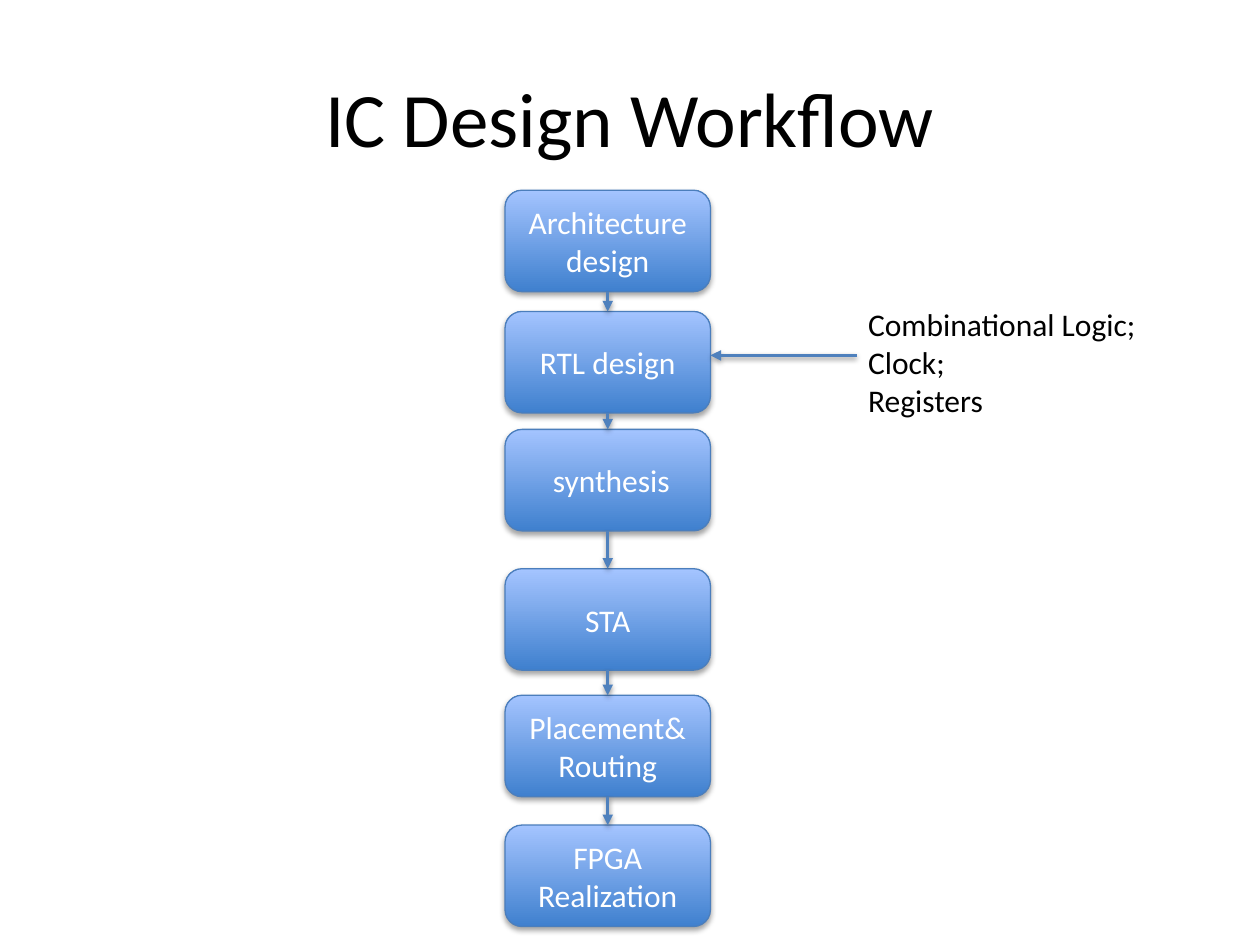
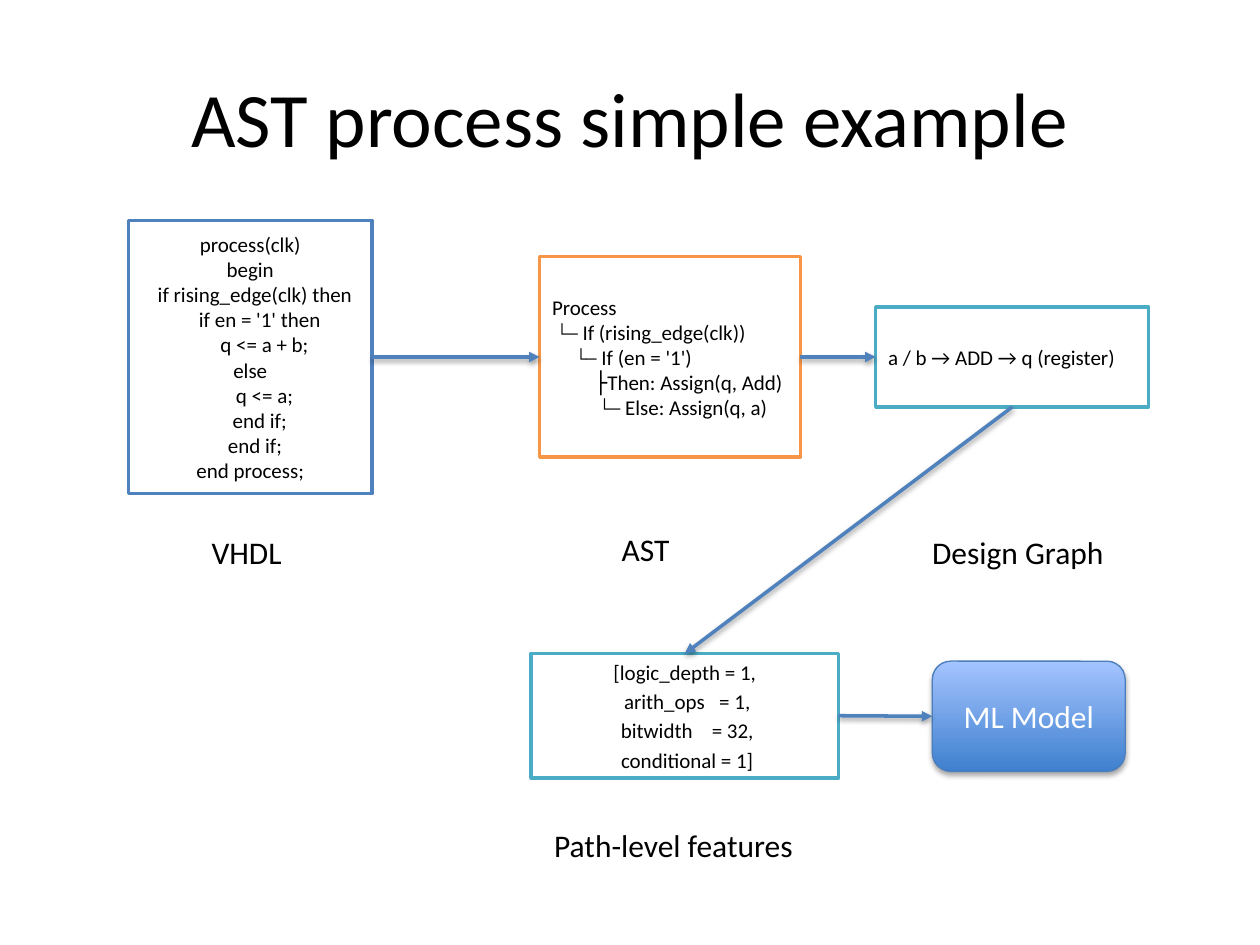
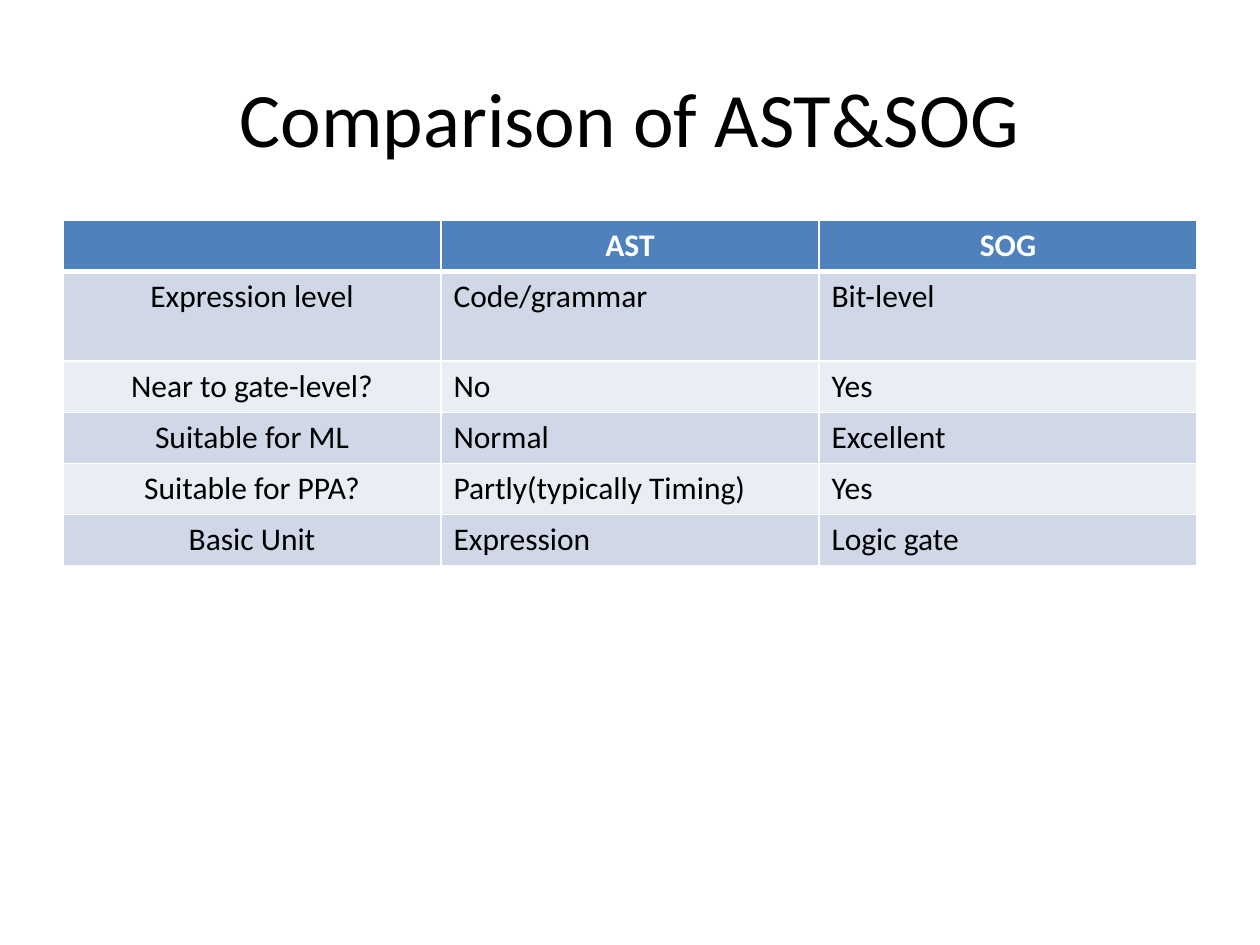
import dataclasses

import pptx
import pptx.dml.color
import pptx.enum.shapes
import pptx.enum.text
import pptx.oxml
import pptx.oxml.ns
import pptx.util

Pt = pptx.util.Pt
Shapes = pptx.enum.shapes.MSO_SHAPE
Align = pptx.enum.text.PP_ALIGN
Anchor = pptx.enum.text.MSO_ANCHOR
Fit = pptx.enum.text.MSO_AUTO_SIZE
TOP, LEFT, BOTTOM, RIGHT = range(4)


@dataclasses.dataclass(frozen=True)
class Theme:
    font: str = "Calibri"
    title_size: float = 44
    body_size: float = 18
    code_size: float = 12
    black: str = "000000"
    white: str = "FFFFFF"
    blue: str = "4F81BD"
    orange: str = "F79646"
    teal: str = "4BACC6"
    step_line: str = "4B7EBC"
    step_gradient: tuple = ("3F80CE", "A4C4FF")
    bands: tuple = ("D0D8E8", "E9EDF4")
    step_line_width: float = 0.75
    line_width: float = 2
    code_space: float = 2.71


THEME = Theme()


@dataclasses.dataclass(frozen=True)
class Line:
    """One paragraph; indent and gap count code spaces, tail follows the gap."""
    text: str
    indent: int = 0
    gap: int = 0
    tail: str = ""


def rgb(value):
    return pptx.dml.color.RGBColor.from_string(value)


def apply_format(target, values):
    for name, value in values.items():
        setattr(target, name, value)


def append_xml(parent, tag, body="", **attributes):
    listed = " ".join(f'{name}="{value}"' for name, value in attributes.items())
    namespace = pptx.oxml.ns.nsdecls("a")
    element = pptx.oxml.parse_xml(f"<a:{tag} {namespace} {listed}>{body}</a:{tag}>")
    parent.append(element)


def add_shadow(shape, opacity, distance):
    """Add a soft shadow below a shape whose line is already set."""
    color = f'<a:srgbClr val="{THEME.black}"><a:alpha val="{opacity * 1000}"/></a:srgbClr>'
    shadow = (f'<a:outerShdw blurRad="{Pt(3.1)}" dist="{Pt(distance)}" '
              f'dir="5400000" rotWithShape="0">{color}</a:outerShdw>')
    append_xml(shape._element.spPr, "effectLst", shadow)


def format_span(span, size, color, bold=False):
    apply_format(span.font, {"name": THEME.font, "size": Pt(size), "bold": bold})
    span.font.color.rgb = rgb(color)


def write_lines(frame, lines, size, color, align=Align.LEFT, bold=False, space_before=0):
    for index, line in enumerate(lines):
        para = frame.paragraphs[0] if index == 0 else frame.add_paragraph()
        apply_format(para, {"alignment": align, "space_before": Pt(space_before)})
        if line.indent:
            margin = Pt(line.indent * THEME.code_space)
            para._p.get_or_add_pPr().set("marL", str(margin))
        for text in filter(None, (line.text, " " if line.gap else "", line.tail)):
            span = para.add_run()
            span.text = text
            format_span(span, size, color, bold)
            if text == " ":
                spacing = round((line.gap - 1) * THEME.code_space * 100)
                span._r.get_or_add_rPr().set("spc", str(spacing))


def add_titled_page(deck, title):
    page = deck.slides.add_slide(deck.slide_layouts[5])
    holder = page.shapes.title
    apply_format(holder, {"left": Pt(36), "top": Pt(21.6), "width": Pt(648), "height": Pt(90)})
    holder.text_frame.vertical_anchor = Anchor.MIDDLE
    write_lines(holder.text_frame, [Line(title)], THEME.title_size, THEME.black, Align.CENTER)
    return page


def add_box(page, preset, place, line_color, line_width):
    box = page.shapes.add_shape(preset, *map(Pt, place))
    box.line.color.rgb = rgb(line_color)
    box.line.width = Pt(line_width)
    apply_format(box.text_frame, {"word_wrap": True, "vertical_anchor": Anchor.MIDDLE})
    return box


def add_step(page, text, place):
    step = add_box(page, Shapes.ROUNDED_RECTANGLE, place, THEME.step_line, THEME.step_line_width)
    step.fill.gradient()
    step.fill.gradient_angle = 90
    for stop, color in zip(step.fill.gradient_stops, THEME.step_gradient):
        stop.color.rgb = rgb(color)
    add_shadow(step, opacity=35, distance=1.8)
    write_lines(step.text_frame, [Line(text)], THEME.body_size, THEME.white, Align.CENTER)
    return step


def add_code_box(page, lines, place, line_color, align=Align.LEFT, space_before=0):
    box = add_box(page, Shapes.RECTANGLE, place, line_color, THEME.line_width)
    box.fill.solid()
    box.fill.fore_color.rgb = rgb(THEME.white)
    box.shadow.inherit = False
    write_lines(box.text_frame, lines, THEME.code_size, THEME.black, align,
                space_before=space_before)
    return box


def add_label(page, texts, place, wrap=True):
    label = page.shapes.add_textbox(*map(Pt, place))
    apply_format(label.text_frame, {"word_wrap": wrap, "auto_size": Fit.SHAPE_TO_FIT_TEXT})
    write_lines(label.text_frame, map(Line, texts), THEME.body_size, THEME.black)


def add_arrow(page, start=(0, 0), end=(0, 0)):
    arrow = page.shapes.add_connector(
        pptx.enum.shapes.MSO_CONNECTOR.STRAIGHT, *map(Pt, start + end))
    arrow.line.color.rgb = rgb(THEME.blue)
    arrow.line.width = Pt(THEME.line_width)
    outline = arrow._element.spPr.find(pptx.oxml.ns.qn("a:ln"))
    append_xml(outline, "tailEnd", type="triangle")
    add_shadow(arrow, opacity=38, distance=1.6)
    return arrow


def join_boxes(page, source, source_side, target, target_side):
    arrow = add_arrow(page)
    arrow.begin_connect(source, source_side)
    arrow.end_connect(target, target_side)


def format_cell(cell, text, row, column):
    header = row == 0
    properties = cell._tc.get_or_add_tcPr()
    widths = {"lnL": 1, "lnR": 1, "lnT": 3 if row == 1 else 1, "lnB": 3 if header else 1}
    fill = f'<a:solidFill><a:srgbClr val="{THEME.white}"/></a:solidFill>'
    for tag, width in widths.items():
        append_xml(properties, tag, fill, w=Pt(width))
    cell.fill.solid()
    cell.fill.fore_color.rgb = rgb(THEME.blue if header else THEME.bands[(row - 1) % 2])
    write_lines(cell.text_frame, [Line(text)], THEME.body_size,
                THEME.white if header else THEME.black,
                Align.CENTER if header or column == 0 else Align.LEFT, bold=header)


def add_table(page, rows, place, heights):
    table = page.shapes.add_table(len(rows), len(rows[0]), *map(Pt, place)).table
    for row, (texts, height) in enumerate(zip(rows, heights)):
        table.rows[row].height = Pt(height)
        for column, text in enumerate(texts):
            format_cell(table.cell(row, column), text, row, column)


def build_workflow(deck):
    page = add_titled_page(deck, "IC Design Workflow")
    step_tops = {
        "Architecture design": 108.7,
        "RTL design": 178,
        " synthesis": 245.4,
        "STA": 325,
        "Placement&Routing": 397.3,
        "FPGA Realization": 471.5,
    }
    steps = [add_step(page, text, (288.6, top, 117.4, 58)) for text, top in step_tops.items()]
    for upper, lower in zip(steps, steps[1:]):
        join_boxes(page, upper, BOTTOM, lower, TOP)
    add_arrow(page, (489.6, 203.1), (406, 203.1))
    add_label(page, ["Combinational Logic;", "Clock;", "Registers"],
              (489, 170.8, 169, 72.7), wrap=False)


def build_example(deck):
    page = add_titled_page(deck, "AST process simple example")
    vhdl = add_code_box(page, [
        Line("process(clk)"),
        Line("begin"),
        Line("if rising_edge(clk) then", 2),
        Line("if en = '1' then", 4),
        Line("q <= a + b;", 6),
        Line("else"),
        Line("q <= a;", 6),
        Line("end if;", 4),
        Line("end if;", 2),
        Line("end process;"),
    ], (73.4, 126, 139.2, 156), THEME.blue, Align.CENTER)
    tree = add_code_box(page, [
        Line("Process"),
        Line("└─ If (rising_edge(clk))", 1),
        Line("└─ If (en = '1')", 5),
        Line("├Then: Assign(q, Add)", 9),
        Line("└─ Else: Assign(q, a)", 10),
    ], (308.4, 146.7, 149, 114.6), THEME.orange)
    graph = add_code_box(page, [Line("a / b → ADD → q (register)")],
                         (500.4, 175.4, 156, 57.2), THEME.teal)
    features = add_code_box(page, [
        Line("[logic_depth = 1,"),
        Line("arith_ops", 1, 3, "= 1,"),
        Line("bitwidth", 1, 4, "= 32,"),
        Line("conditional = 1]", 1),
    ], (303.5, 373.5, 175.7, 71), THEME.teal, Align.CENTER, space_before=2.4)
    model = add_step(page, "ML Model", (532.8, 377.8, 110.2, 63))
    join_boxes(page, vhdl, RIGHT, tree, LEFT)
    join_boxes(page, tree, RIGHT, graph, LEFT)
    join_boxes(page, graph, BOTTOM, features, TOP)
    join_boxes(page, features, RIGHT, model, LEFT)
    captions = {
        "VHDL": (113.8, 301.2, 57.6),
        "AST": (348.2, 299.5, 57.6),
        "Design Graph": (525.6, 301.2, 125.3),
        "Path-level features": (309.6, 468.4, 163.4),
    }
    for text, place in captions.items():
        add_label(page, [text], place + (29.1,))


def build_comparison(deck):
    page = add_titled_page(deck, "Comparison of AST&SOG")
    rows = [
        ("", "AST", "SOG"),
        ("Expression level", "Code/grammar", "Bit-level"),
        ("Near to gate-level?", "No", "Yes"),
        ("Suitable for ML", "Normal", "Excellent"),
        ("Suitable for PPA?", "Partly(typically Timing)", "Yes"),
        ("Basic Unit", "Expression", "Logic gate"),
    ]
    heights = [29.2, 51.2] + [29.2] * 4
    add_table(page, rows, (36, 126, 648, sum(heights)), heights)


def main():
    deck = pptx.Presentation()
    apply_format(deck, {"slide_width": Pt(720), "slide_height": Pt(540)})
    build_workflow(deck)
    build_example(deck)
    build_comparison(deck)
    deck.save("out.pptx")


if __name__ == "__main__":
    main()
